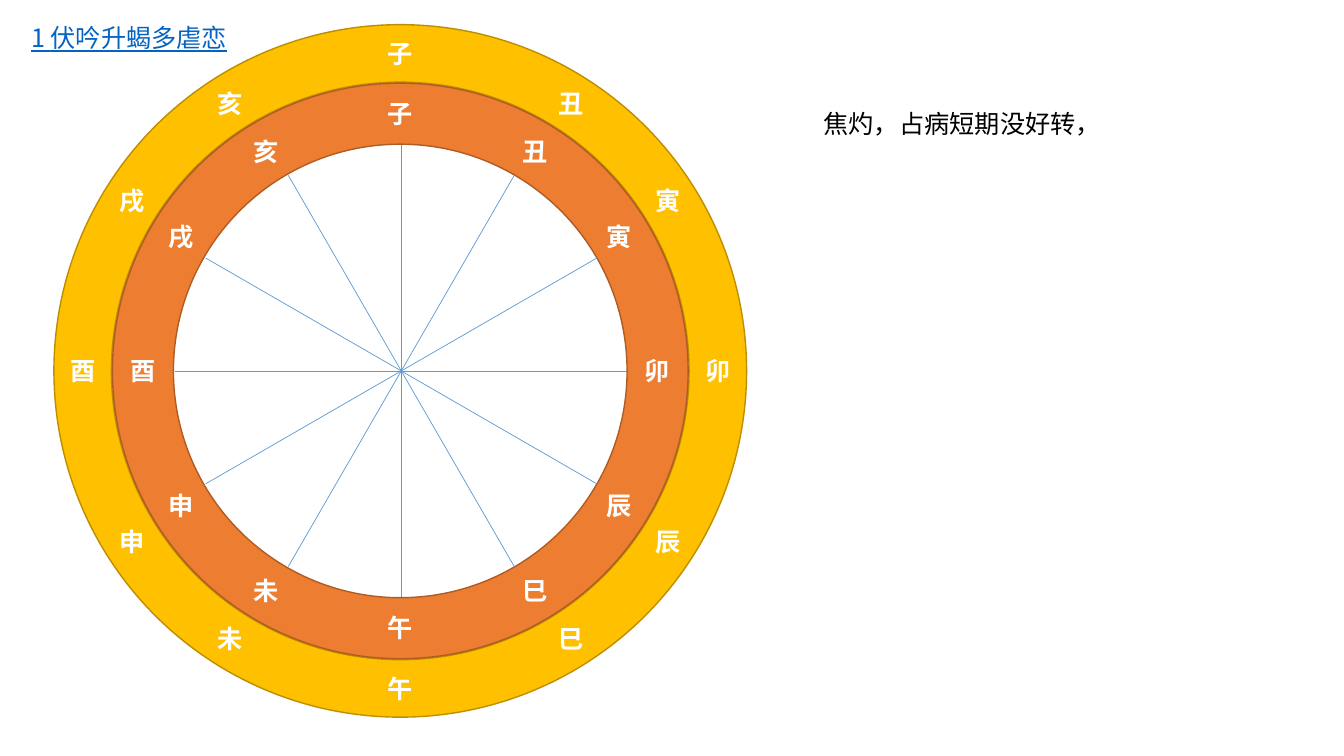
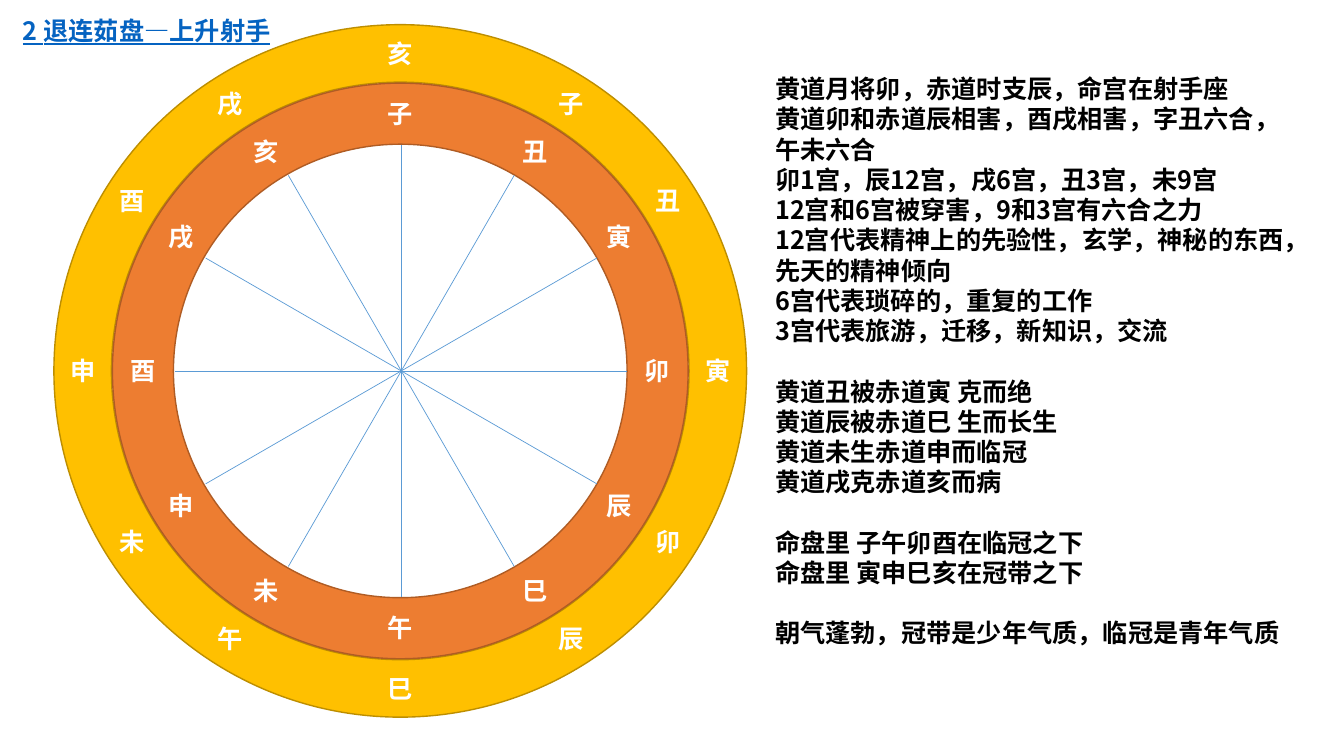
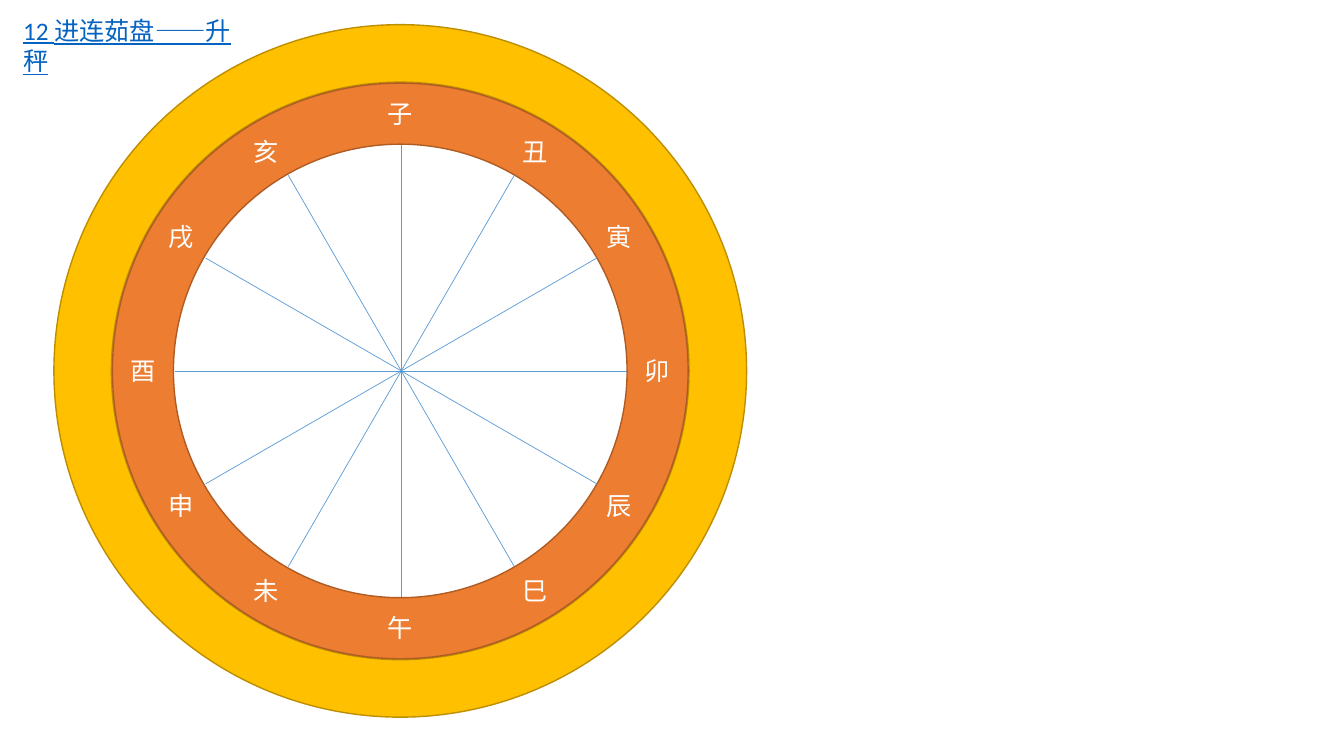
from dataclasses import dataclass
from math import cos, radians, sin

from lxml import etree
from pptx import Presentation
from pptx import util as u
from pptx.dml.color import RGBColor
from pptx.enum import shapes, text
from pptx.oxml.ns import qn

WHITE = RGBColor(0xFF, 0xFF, 0xFF)
BLACK = RGBColor(0, 0, 0)
GOLD = RGBColor(0xFF, 0xC0, 0x00)
GOLD_EDGE = RGBColor(0xBD, 0x8E, 0x00)
ORANGE = RGBColor(0xED, 0x7D, 0x31)
ORANGE_EDGE = RGBColor(0xAF, 0x5C, 0x24)
SPOKE_BLUE = RGBColor(0x5B, 0x9B, 0xD5)
LINK_BLUE = RGBColor(0x05, 0x63, 0xC1)

NOTO = "Noto Sans CJK SC"
CALIBRI = "Calibri"
LINE_PITCH = 21.6
BRANCHES = "子丑寅卯辰巳午未申酉戌亥"
CENTRE_X, CENTRE_Y = 3.97, 3.68
SPOKE_RADIUS = 2.24
LABEL_W, LABEL_H = 0.45, 0.4


@dataclass(frozen=True)
class Ring:
    diameter: float
    thickness: float
    fill: RGBColor
    edge: RGBColor
    label_radius: float
    lean: float


@dataclass(frozen=True)
class Style:
    color: RGBColor
    font: str = NOTO
    bold: bool = False
    underline: bool = False


@dataclass(frozen=True)
class Block:
    left: float
    top: float
    width: float
    groups: tuple[tuple[str, ...], ...]
    style: Style


@dataclass(frozen=True)
class Chart:
    title: Block
    label_style: Style
    outer_shift: int | None = None
    notes: Block | None = None


OUTER = Ring(6.87, 0.083, GOLD, GOLD_EDGE, 3.15, 2.5)
INNER = Ring(5.71, 0.106, ORANGE, ORANGE_EDGE, 2.55, 1.5)
BOLD_LABEL = Style(WHITE, bold=True)

CHARTS = (
    Chart(
        Block(0.21, 0.17, 2.4, (("1 伏吟升蝎多虐恋",),), Style(LINK_BLUE, underline=True)),
        BOLD_LABEL,
        0,
        Block(8.07, 1.03, 3.2, (("焦灼，占病短期没好转，",),), Style(BLACK)),
    ),
    Chart(
        Block(0.13, 0.1, 3, (("2 退连茹盘—上升射手",),),
              Style(LINK_BLUE, bold=True, underline=True)),
        BOLD_LABEL,
        -1,
        Block(7.59, 0.68, 5.44, (
            (
                "黄道月将卯，赤道时支辰，命宫在射手座",
                "黄道卯和赤道辰相害，酉戌相害，字丑六合，午未六合",
                "卯1宫，辰12宫，戌6宫，丑3宫，未9宫",
                "12宫和6宫被穿害，9和3宫有六合之力",
                "12宫代表精神上的先验性，玄学，神秘的东西，先天的精神倾向",
                "6宫代表琐碎的，重复的工作",
                "3宫代表旅游，迁移，新知识，交流",
            ),
            (
                "黄道丑被赤道寅 克而绝",
                "黄道辰被赤道巳 生而长生",
                "黄道未生赤道申而临冠",
                "黄道戌克赤道亥而病",
            ),
            (
                "命盘里 子午卯酉在临冠之下",
                "命盘里 寅申巳亥在冠带之下",
            ),
            ("朝气蓬勃，冠带是少年气质，临冠是青年气质",),
        ), Style(BLACK, bold=True)),
    ),
    Chart(
        Block(0.13, 0.1, 2.49, (("12 进连茹盘——升秤",),),
              Style(LINK_BLUE, CALIBRI, underline=True)),
        Style(WHITE, CALIBRI),
    ),
)


def format_paragraph(p, style: Style) -> None:
    p.line_spacing = u.Pt(LINE_PITCH)
    for r in p.runs:
        f = r.font
        f.size = u.Pt(18)
        f.bold = style.bold
        f.underline = style.underline
        f.color.rgb = style.color
        f.name = style.font
        etree.SubElement(r._r.get_or_add_rPr(), qn("a:ea"), typeface=NOTO)


def add_block(s, block: Block) -> None:
    count = sum(len(group) for group in block.groups)
    sp = s.shapes.add_textbox(u.Inches(block.left), u.Inches(block.top),
                              u.Inches(block.width), u.Inches(0.1 + 0.3 * count))
    tf = sp.text_frame
    tf.word_wrap = True
    tf.text = "\n".join(line for group in block.groups for line in group)
    for p in tf.paragraphs:
        format_paragraph(p, block.style)
    start = 0
    for group in block.groups[:-1]:
        start += len(group)
        tf.paragraphs[start].space_before = u.Pt(LINE_PITCH)


def add_ring(s, ring: Ring) -> None:
    d = u.Inches(ring.diameter)
    sp = s.shapes.add_shape(shapes.MSO_SHAPE.DONUT,
                            u.Inches(CENTRE_X - ring.diameter / 2),
                            u.Inches(CENTRE_Y - ring.diameter / 2), d, d)
    sp.adjustments[0] = ring.thickness
    sp.shadow.inherit = False
    sp.fill.solid()
    sp.fill.fore_color.rgb = ring.fill
    sp.line.color.rgb = ring.edge
    sp.line.width = u.Pt(1)


def add_spokes(s) -> None:
    x, y = CENTRE_X + 0.01, CENTRE_Y
    for step in range(6):
        angle = radians(30 * step)
        dx, dy = SPOKE_RADIUS * sin(angle), SPOKE_RADIUS * cos(angle)
        line = s.shapes.add_connector(
            shapes.MSO_CONNECTOR.STRAIGHT,
            u.Inches(x + dx), u.Inches(y - dy), u.Inches(x - dx), u.Inches(y + dy))
        line.line.color.rgb = SPOKE_BLUE
        line.line.width = u.Pt(0.5)
        etree.SubElement(line._element.spPr, qn("a:effectLst"))


def add_labels(s, ring: Ring, shift: int, style: Style) -> None:
    leans = (0, ring.lean, -ring.lean)
    for k in range(12):
        lean = leans[k % 3]
        angle = radians(30 * k + lean)
        x = CENTRE_X + ring.label_radius * sin(angle)
        y = CENTRE_Y - ring.label_radius * cos(angle)
        sp = s.shapes.add_textbox(u.Inches(x - LABEL_W / 2), u.Inches(y - LABEL_H / 2),
                                  u.Inches(LABEL_W), u.Inches(LABEL_H))
        tf = sp.text_frame
        tf.word_wrap = False
        tf.text = BRANCHES[(k + shift) % 12]
        p = tf.paragraphs[0]
        p.alignment = text.PP_ALIGN.CENTER
        format_paragraph(p, style)


def add_chart_slide(prs, chart: Chart) -> None:
    s = prs.slides.add_slide(prs.slide_layouts[6])
    s.background.fill.solid()
    s.background.fill.fore_color.rgb = WHITE
    for ring in (OUTER, INNER):
        add_ring(s, ring)
    add_spokes(s)
    add_labels(s, INNER, 0, chart.label_style)
    add_block(s, chart.title)
    if chart.outer_shift is not None:
        add_labels(s, OUTER, chart.outer_shift, chart.label_style)
    if chart.notes:
        add_block(s, chart.notes)


def main() -> None:
    prs = Presentation()
    prs.slide_width, prs.slide_height = u.Inches(13.33), u.Inches(7.5)
    for chart in CHARTS:
        add_chart_slide(prs, chart)
    prs.save("out.pptx")


if __name__ == "__main__":
    main()
